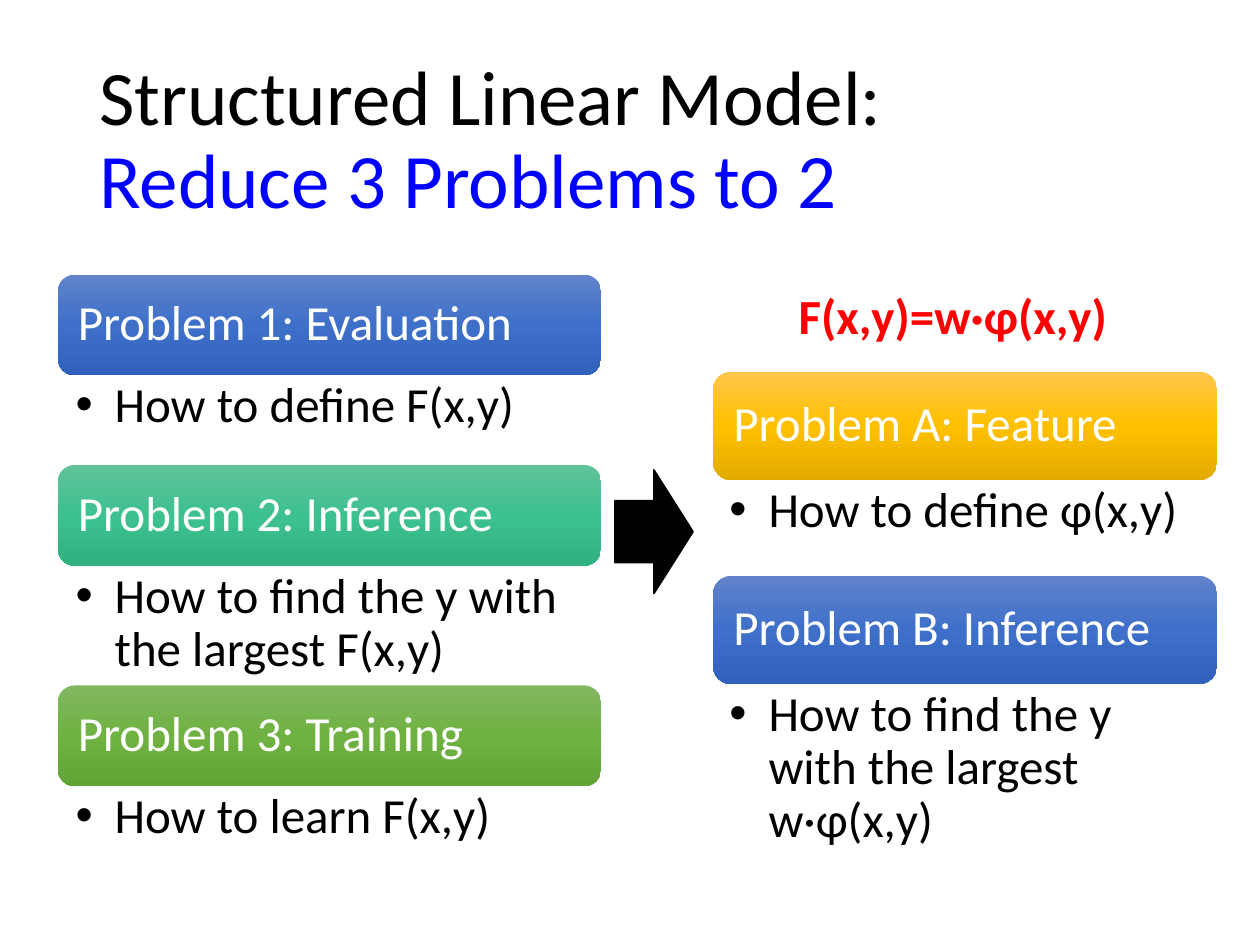
from dataclasses import dataclass

from lxml.etree import SubElement
from pptx import Presentation
from pptx.dml.color import RGBColor
from pptx.enum.shapes import MSO_SHAPE
from pptx.enum.text import MSO_ANCHOR
from pptx.oxml.ns import qn
from pptx.util import Emu, Inches, Pt

# Slide grid: square cells, 100 columns by 75 rows
COLUMNS, ROWS = 100, 75
CELL = Inches(10) / COLUMNS
FONT = "Calibri"
COLORS = {
    "text": "000000", "accent": "0000FF", "formula": "FF0000", "header": "FFFFFF",
}
GRADIENTS = {
    "blue": ("6183CB", "3E70CA", "3062BB"),
    "teal": ("60C39A", "3DC18F", "31B080"),
    "green": ("81B861", "6FB242", "62A336"),
    "gold": ("FFC64B", "FFC000", "E3AB00"),
}


@dataclass
class Box:
    left: float
    top: float
    width: float
    height: float

    def lengths(self) -> list[Emu]:
        return [cells(n) for n in (self.left, self.top, self.width, self.height)]


@dataclass
class Problem:
    header: str
    question: str
    gradient: str
    question_rows: float


@dataclass
class Stack:
    left: float
    top: float
    width: float
    header_rows: float
    indent: float
    problems: list[Problem]


STACKS = [
    Stack(4.6, 21.8, 43.1, 8, 1.4, [
        Problem("Problem 1: Evaluation", "How to define F(x,y)", "blue", 7.1),
        Problem("Problem 2: Inference", "How to find the y with the largest F(x,y)", "teal", 9.5),
        Problem("Problem 3: Training", "How to learn F(x,y)", "green", 7.1),
    ]),
    Stack(56.6, 29.5, 40, 8.6, 1.3, [
        Problem("Problem A: Feature", "How to define φ(x,y)", "gold", 7.6),
        Problem("Problem B: Inference", "How to find the y with the largest w·φ(x,y)", "blue", 13.8),
    ]),
]


def cells(count: float) -> Emu:
    return Emu(round(count * CELL))


def add_run(paragraph, text: str, color: str, size: int = 28, bold: bool = False) -> None:
    run = paragraph.add_run()
    run.text = text
    run.font.name = FONT
    run.font.size = Pt(size)
    run.font.bold = bold
    run.font.color.rgb = RGBColor.from_string(COLORS[color])


def set_margins(frame, left: float, top: float, right: float, bottom: float) -> None:
    frame.margin_left, frame.margin_top = cells(left), cells(top)
    frame.margin_right, frame.margin_bottom = cells(right), cells(bottom)


def add_text_box(slide, box: Box, wrap: bool = True):
    frame = slide.shapes.add_textbox(*box.lengths()).text_frame
    frame.word_wrap = wrap
    return frame


def fill_gradient(shape, colors: tuple[str, ...]) -> None:
    shape.fill.gradient()
    shape.fill.gradient_angle = 270
    stops = shape.element.spPr.find(qn("a:gradFill")).find(qn("a:gsLst"))
    for stop in list(stops):
        stops.remove(stop)
    for index, color in enumerate(colors):
        position = 100000 * index // (len(colors) - 1)
        stop = SubElement(stops, qn("a:gs"), pos=str(position))
        SubElement(stop, qn("a:srgbClr"), val=color)


def add_header(slide, box: Box, problem: Problem) -> None:
    shape = slide.shapes.add_shape(MSO_SHAPE.ROUNDED_RECTANGLE, *box.lengths())
    shape.shadow.inherit = False
    shape.line.fill.background()
    fill_gradient(shape, GRADIENTS[problem.gradient])
    frame = shape.text_frame
    frame.word_wrap = True
    frame.vertical_anchor = MSO_ANCHOR.MIDDLE
    set_margins(frame, 1.2, 1.2, 1.2, 1.2)
    paragraph = frame.paragraphs[0]
    paragraph.line_spacing = 0.9
    properties = paragraph._p.get_or_add_pPr()
    properties.set("algn", "l")
    add_run(paragraph, problem.header, "header")


def add_question(slide, box: Box, problem: Problem, indent: float) -> None:
    frame = add_text_box(slide, box)
    set_margins(frame, indent, 0.4, 2.2, 0.4)
    paragraph = frame.paragraphs[0]
    paragraph.level = 1
    paragraph.line_spacing = 0.9
    properties = paragraph._p.get_or_add_pPr()
    properties.set("marL", str(cells(3.1)))
    properties.set("indent", str(-cells(3.1)))
    SubElement(properties, qn("a:buFont"), typeface="Arial")
    SubElement(properties, qn("a:buChar"), char="•")
    add_run(paragraph, problem.question, "text")


def add_stack(slide, stack: Stack) -> None:
    top = stack.top
    for problem in stack.problems:
        add_header(slide, Box(stack.left, top, stack.width, stack.header_rows), problem)
        top += stack.header_rows
        question_box = Box(stack.left, top, stack.width, problem.question_rows)
        add_question(slide, question_box, problem, stack.indent)
        top += problem.question_rows


def add_title(slide) -> None:
    frame = add_text_box(slide, Box(6.9, 4, 86.2, 14.5))
    frame.vertical_anchor = MSO_ANCHOR.MIDDLE
    paragraph = frame.paragraphs[0]
    paragraph.line_spacing = 0.9
    add_run(paragraph, "Structured Linear Model:", "text", 44)
    paragraph.add_line_break()
    add_run(paragraph, "Reduce 3 Problems to 2", "accent", 44)


def add_arrow(slide) -> None:
    arrow = slide.shapes.add_shape(MSO_SHAPE.RIGHT_ARROW, *Box(48.8, 37.3, 6.2, 9.8).lengths())
    arrow.shadow.inherit = False
    black = RGBColor.from_string(COLORS["text"])
    arrow.fill.solid()
    arrow.fill.fore_color.rgb = black
    arrow.line.color.rgb = black
    arrow.line.width = Pt(1)


def main() -> None:
    presentation = Presentation()
    presentation.slide_width = cells(COLUMNS)
    presentation.slide_height = cells(ROWS)
    slide = presentation.slides.add_slide(presentation.slide_layouts[6])

    add_title(slide)
    # Three problems on the left become two on the right
    for stack in STACKS:
        add_stack(slide, stack)
    add_arrow(slide)
    # Formula above the right stack
    formula = add_text_box(slide, Box(62.4, 22.2, 26.8, 5.7), wrap=False)
    add_run(formula.paragraphs[0], "F(x,y)=w·φ(x,y)", "formula", bold=True)

    presentation.save("out.pptx")


if __name__ == "__main__":
    main()
